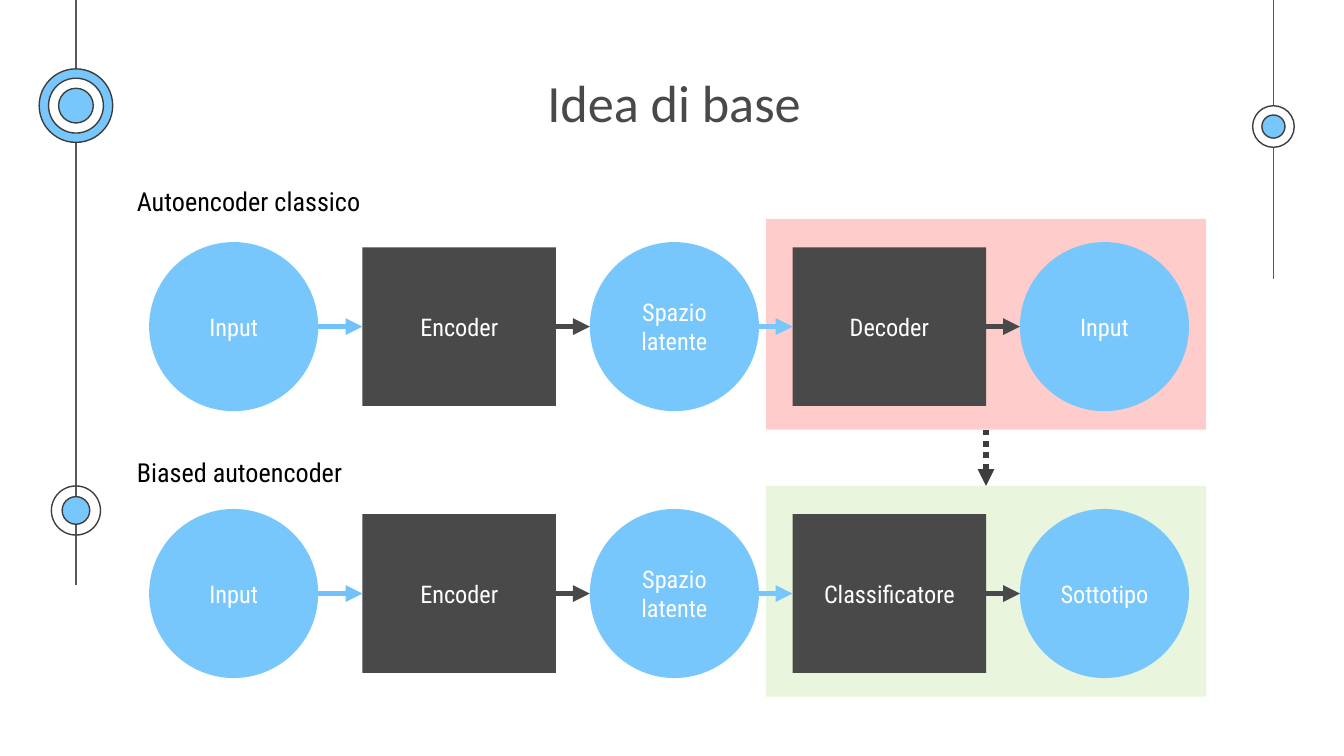
from lxml.etree import SubElement
from pptx import Presentation
from pptx.dml.color import RGBColor
from pptx.enum.dml import MSO_LINE
from pptx.enum.shapes import MSO_CONNECTOR, MSO_SHAPE
from pptx.enum.text import MSO_ANCHOR, PP_ALIGN
from pptx.oxml.ns import qn
from pptx.util import Pt

HUES = {
    "blue": "77C6FC", "sky": "71C2FA", "dark": "494949", "ink": "3D3D3D",
    "rail": "595959", "white": "FFFFFF", "black": "000000",
    "red": "FF0000", "green": "92D050",
}
FONT = "Roboto Condensed"
DISC = 90.6
BOX_W, BOX_H = 103.7, 85
PANEL_X, PANEL_W, PANEL_H = 410.4, 235.7, 113
# Kind and left edge of each step in a row
STEPS = [("disc", 79.9), ("box", 194.2), ("disc", 316), ("box", 424.6), ("disc", 546.4)]
LINKS = ["sky", "dark", "blue", "dark", "dark"]


def hue(name):
    return RGBColor.from_string(HUES[name])


def add_run(para, text, size, color, font=FONT):
    run = para.add_run()
    run.text = text
    run.font.size = Pt(size)
    run.font.name = font
    run.font.color.rgb = hue(color)


def add_form(slide, kind, x, y, w, h, fill=None, line=None):
    form = slide.shapes.add_shape(kind, Pt(x), Pt(y), Pt(w), Pt(h))
    form.shadow.inherit = False
    if fill:
        form.fill.solid()
        form.fill.fore_color.rgb = hue(fill)
    else:
        form.fill.background()
    if line:
        form.line.color.rgb = hue(line)
        form.line.width = Pt(0.75)
    else:
        form.line.fill.background()
    return form


def add_line(slide, x1, y1, x2, y2, color, width, arrow=False):
    line = slide.shapes.add_connector(
        MSO_CONNECTOR.STRAIGHT, Pt(x1), Pt(y1), Pt(x2), Pt(y2))
    line.line.color.rgb = hue(color)
    line.line.width = Pt(width)
    props = line._element.spPr
    if arrow:
        SubElement(props.find(qn("a:ln")), qn("a:tailEnd"), type="triangle")
    SubElement(props, qn("a:effectLst"))
    return line


def add_rings(slide, x, y, rings):
    """Draw outlined circles round one centre, each given as (diameter, fill)."""
    for size, fill in rings:
        add_form(slide, MSO_SHAPE.OVAL, x - size / 2, y - size / 2,
                 size, size, fill, "ink")


def add_panel(slide, mid, color):
    panel = add_form(slide, MSO_SHAPE.RECTANGLE, PANEL_X, mid - 57.7,
                     PANEL_W, PANEL_H, color)
    tint = panel._element.spPr.find(qn("a:solidFill"))[0]
    SubElement(tint, qn("a:alpha"), val="20000")
    return panel


def add_step(slide, kind, x, mid, text):
    if kind == "disc":
        step = add_form(slide, MSO_SHAPE.OVAL, x, mid - DISC / 2, DISC, DISC, "blue")
    else:
        step = add_form(slide, MSO_SHAPE.RECTANGLE, x, mid - BOX_H / 2,
                        BOX_W, BOX_H, "dark")
    frame = step.text_frame
    frame.word_wrap = True
    frame.vertical_anchor = MSO_ANCHOR.MIDDLE
    para = frame.paragraphs[0]
    para.alignment = PP_ALIGN.CENTER
    add_run(para, text, 13, "white")
    return step


def add_row(slide, mid, words):
    steps = [add_step(slide, kind, x, mid, text)
             for (kind, x), text in zip(STEPS, words)]
    for i, color in enumerate(LINKS[:len(steps) - 1]):
        (kind, x), (_, end) = STEPS[i:i + 2]
        start = x + (DISC if kind == "disc" else BOX_W)
        link = add_line(slide, start, mid, end, mid, color, 3, arrow=True)
        if kind == "box":
            link.begin_connect(steps[i], 3)
        else:
            link.end_connect(steps[i + 1], 1)


def add_label(slide, y, text):
    label = slide.shapes.add_textbox(Pt(66.2), Pt(y), Pt(154.8), Pt(24.3))
    label.text_frame.word_wrap = True
    add_run(label.text_frame.paragraphs[0], text, 14, "black")


def set_title(slide, text):
    title = slide.shapes.title
    title.left, title.top, title.width, title.height = Pt(144.7), Pt(28), Pt(432.7), Pt(45.4)
    frame = title.text_frame
    frame.vertical_anchor = MSO_ANCHOR.TOP
    frame.margin_top = Pt(9.5)
    para = frame.paragraphs[0]
    para.alignment = PP_ALIGN.CENTER
    add_run(para, text, 28, "dark", "Calibri")


def add_decor(slide):
    left, right = 40.7, 682.2
    add_line(slide, left, 0, left, 313.2, "rail", 0.75)
    add_line(slide, right, 0, right, 149.5, "rail", 0.75)
    add_rings(slide, left, 273.5, [(26.3, None), (14.8, "blue")])
    add_rings(slide, right, 67.8, [(22.3, "white"), (12.4, "blue")])
    add_rings(slide, left, 56.6, [(39.4, "blue"), (29.4, "white"), (18.6, "blue")])


def main():
    deck = Presentation()
    deck.slide_width, deck.slide_height = Pt(720), Pt(405)
    slide = deck.slides.add_slide(deck.slide_layouts[5])
    add_decor(slide)
    set_title(slide, "Idea di base")

    rows = [
        (175, "red", 95.8, "Autoencoder classico",
         ["Input", "Encoder", "Spazio latente", "Decoder", "Input"]),
        (318, "green", 241.2, "Biased autoencoder",
         ["Input", "Encoder", "Spazio latente", "Classificatore", "Sottotipo"]),
    ]
    panels = []
    for mid, color, top, name, words in rows:
        panels.append(add_panel(slide, mid, color))
        add_row(slide, mid, words)
        add_label(slide, top, name)

    swap = add_line(slide, 528.2, 230.3, 528.2, 260.3, "ink", 3, arrow=True)
    swap.line.dash_style = MSO_LINE.ROUND_DOT
    swap.begin_connect(panels[0], 2)
    swap.end_connect(panels[1], 0)
    deck.save("out.pptx")


if __name__ == "__main__":
    main()
